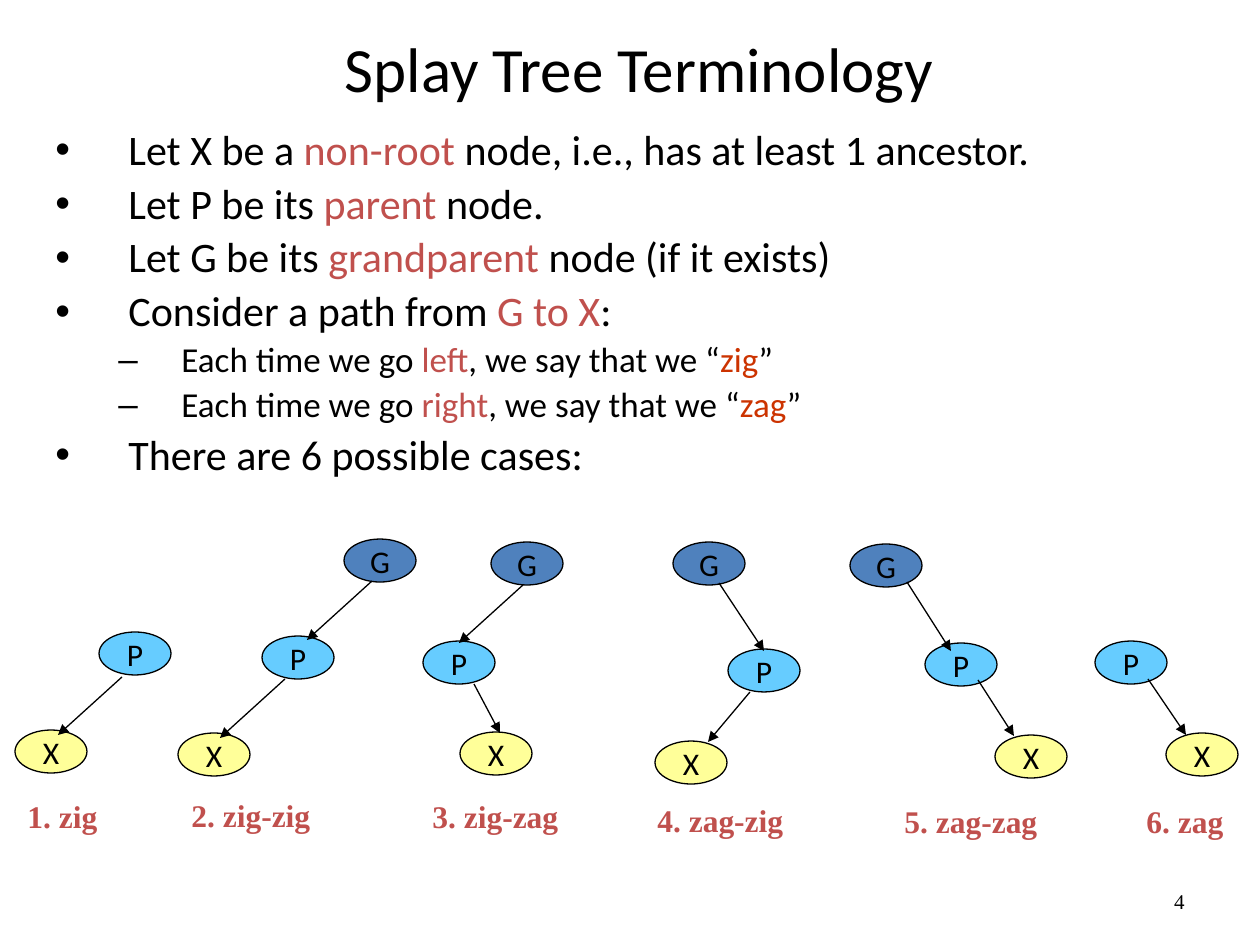
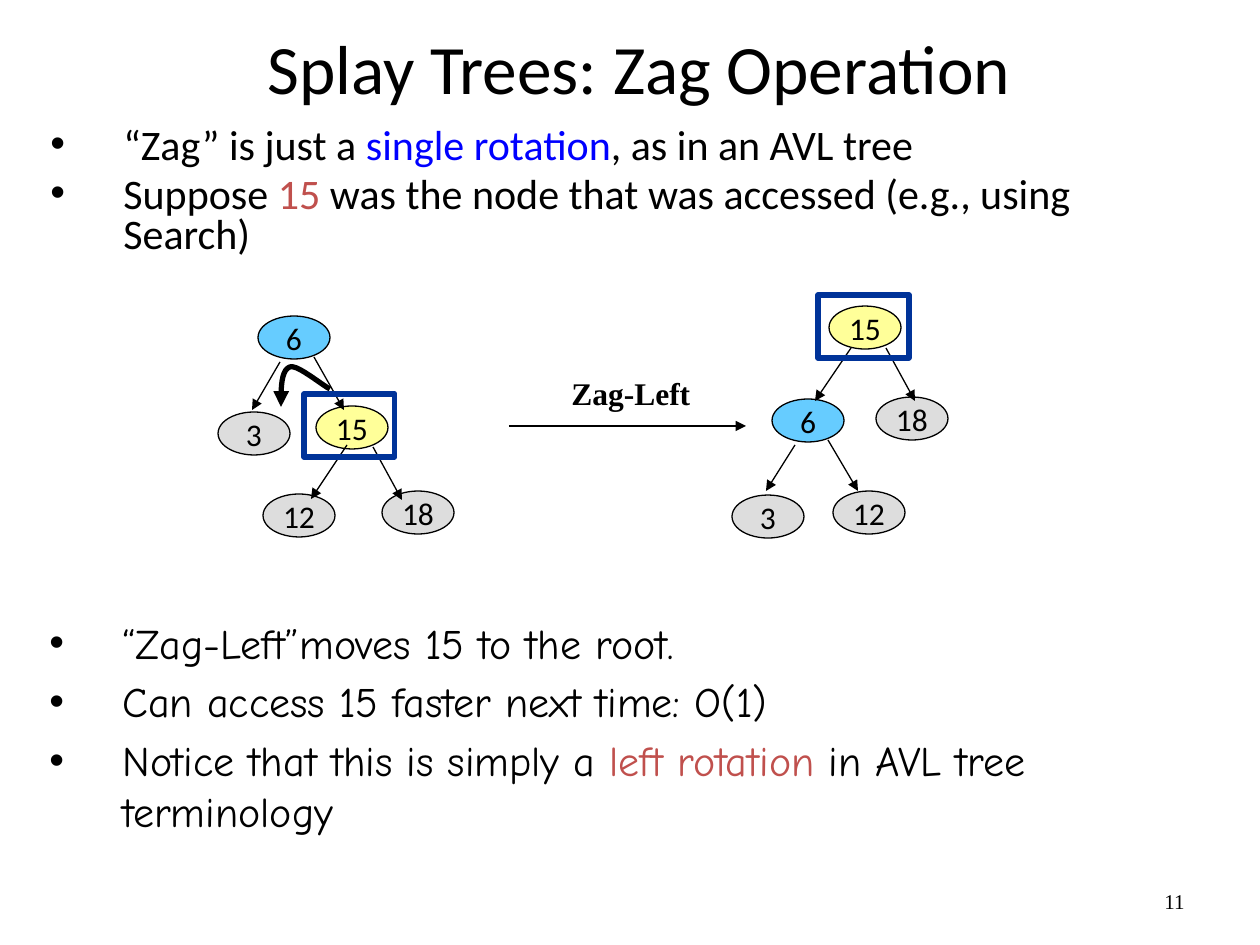
import pptx
import pptx.util
import pptx.dml.color
import pptx.enum.text
import pptx.enum.shapes
import pptx.oxml
import pptx.oxml.ns
from dataclasses import dataclass

PX = 914400 / 126
ALIGN = pptx.enum.text.PP_ALIGN
ANCHOR = pptx.enum.text.MSO_ANCHOR
SHAPE = pptx.enum.shapes.MSO_SHAPE


@dataclass(frozen=True)
class Theme:
    ink: str = "000000"
    accent: str = "C0504D"
    turn: str = "CC3300"
    link: str = "0000FF"
    grandparent: str = "4F81BD"
    parent: str = "66CCFF"
    accessed: str = "FFFF99"
    plain: str = "DDDDDD"
    frame: str = "003399"
    sans: str = "Calibri"
    serif: str = "Times New Roman"
    hand: str = "Comic Neue"
    body: int = 24
    sub: int = 20
    node: int = 18
    label: int = 18
    number: int = 12
    thin: float = 0.75
    thick: float = 3


T = Theme()
TITLE_BOX = (38, 19, 1202, 96)
NUMBER_BOX = (903, 876, 294, 50)
NODE_SIZE = (72, 43)
FRAME_SIZE = (91, 63)
LABEL_HEIGHT = 50
LEVELS = [("•", 73, 73, T.body), ("–", 126, 63, T.sub)]
NODE_FILLS = {"G": T.grandparent, "P": T.parent, "X": T.accessed, "6": T.parent, "15": T.accessed}

SLIDES = [
    {
        "title": ("Splay Tree Terminology", 36),
        "number": "4",
        "bullets": [
            {"box": (43, 123, 1181, 394), "font": T.sans, "spacing": 0.9, "items": [
                (0, ["Let X be a ", ("non-root", T.accent), " node, i.e., has at least 1 ancestor."]),
                (0, ["Let P be its ", ("parent ", T.accent), "node."]),
                (0, ["Let G be its ", ("grandparent ", T.accent), "node (if it exists)"]),
                (0, ["Consider a path from ", ("G to X", T.accent), ":"]),
                (1, ["Each time we go ", ("left", T.accent), ", we say that we “", ("zig", T.turn), "”"]),
                (1, ["Each time we go ", ("right", T.accent), ", we say that we “", ("zag", T.turn), "”"]),
                (0, ["There are 6 possible cases:"]),
            ]},
        ],
        "trees": [
            {"nodes": [("P", 99, 632), ("X", 15, 730)],
             "edges": [(122, 677, 58, 735)]},
            {"nodes": [("G", 344, 539), ("P", 262, 636), ("X", 178, 733)],
             "edges": [(372, 581, 307, 640), (285, 679, 220, 738)]},
            {"nodes": [("G", 491, 542), ("P", 423, 641), ("X", 460, 732)],
             "edges": [(523, 585, 459, 643), (474, 684, 500, 733)]},
            {"nodes": [("G", 673, 542), ("P", 728, 649), ("X", 655, 741)],
             "edges": [(719, 583, 764, 651), (750, 692, 708, 742)]},
            {"nodes": [("G", 850, 544), ("P", 925, 643), ("X", 995, 735)],
             "edges": [(907, 582, 951, 651), (978, 680, 1014, 736)]},
            {"nodes": [("P", 1095, 641), ("X", 1166, 733)],
             "edges": [(1148, 679, 1186, 735)]},
        ],
        "labels": [
            ("1. zig", 15, 791, 96, T.accent),
            ("2. zig-zig", 179, 790, 145, T.accent),
            ("3. zig-zag", 420, 791, 151, T.accent),
            ("4. zag-zig", 645, 795, 151, T.accent),
            ("5. zag-zag", 892, 796, 159, T.accent),
            ("6. zag", 1134, 796, 102, T.accent),
        ],
    },
    {
        "title": ("Splay Trees: Zag Operation", 39.6),
        "number": "11",
        "bullets": [
            {"box": (38, 122, 1181, 150), "font": T.sans, "spacing": 0.8, "items": [
                (0, ["“Zag” is just a ", ("single rotation", T.link), ", as in an AVL tree"]),
                (0, ["Suppose ", ("15", T.accent), " was the node that was accessed (e.g., using Search)"]),
            ]},
            {"box": (37, 611, 1191, 215), "font": T.hand, "spacing": 1.0, "items": [
                (0, ["“Zag-Left”moves 15 to the root."]),
                (0, ["Can access 15 faster next time: O(1)"]),
                (0, ["Notice that this is simply a ", ("left rotation", T.accent), " in AVL tree terminology"]),
            ]},
        ],
        "trees": [
            {"nodes": [("6", 258, 316), ("3", 218, 412), ("15", 316, 406), ("12", 263, 494), ("18", 382, 491)],
             "edges": [(280, 362, 252, 410), (314, 357, 344, 410), (347, 445, 311, 499), (373, 447, 402, 500)]},
            {"nodes": [("15", 829, 306), ("6", 772, 399), ("18", 876, 397), ("3", 732, 495), ("12", 833, 491)],
             "edges": [(851, 348, 815, 401), (886, 348, 915, 401), (795, 445, 766, 491), (828, 440, 858, 491)]},
        ],
        "labels": [("Zag-Left", 559, 368, 145, T.ink)],
        "steps": [(509, 426, 746, 426)],
        "frames": [(304, 394), (818, 295)],
        "turns": [[(281, 407), (281, 388), (281, 370), (290, 367), (297, 364), (323, 386), (330, 389)]],
    },
]


def emu(*lengths):
    return [round(length * PX) for length in lengths]


def rgb(colour):
    return pptx.dml.color.RGBColor.from_string(colour)


def style(r, font, size, colour=T.ink, bold=False):
    r.font.name = font
    r.font.size = pptx.util.Pt(size)
    r.font.color.rgb = rgb(colour)
    r.font.bold = bold


def draw_line(sp, colour, width):
    sp.line.color.rgb = rgb(colour)
    sp.line.width = pptx.util.Pt(width)


def add_arrowhead(sp, end):
    head = pptx.oxml.parse_xml(f'<a:{end} {pptx.oxml.ns.nsdecls("a")} type="triangle"/>')
    sp.line._get_or_add_ln().append(head)


def add_text(s, box, text, font, size, colour=T.ink, align=ALIGN.LEFT, anchor=ANCHOR.TOP, wrap=True, bold=False):
    tf = s.shapes.add_textbox(*emu(*box)).text_frame
    tf.word_wrap = wrap
    tf.vertical_anchor = anchor
    tf.text = text
    p = tf.paragraphs[0]
    p.alignment = align
    style(p.runs[0], font, size, colour, bold)
    return tf


def add_bullets(s, block):
    tf = s.shapes.add_textbox(*emu(*block["box"])).text_frame
    tf.word_wrap = True
    for i, (level, parts) in enumerate(block["items"]):
        mark, margin, hang, size = LEVELS[level]
        p = tf.add_paragraph() if i else tf.paragraphs[0]
        p.level = level
        p.line_spacing = block["spacing"]
        p.space_before = pptx.util.Pt(size * 0.2)
        pPr = p._p.get_or_add_pPr()
        pPr.set("marL", str(emu(margin)[0]))
        pPr.set("indent", str(emu(-hang)[0]))
        for tag in (f'buFont {pptx.oxml.ns.nsdecls("a")} typeface="Arial"',
                    f'buChar {pptx.oxml.ns.nsdecls("a")} char="{mark}"'):
            pPr.append(pptx.oxml.parse_xml(f"<a:{tag}/>"))
        for part in parts:
            text, colour = part if isinstance(part, tuple) else (part, T.ink)
            r = p.add_run()
            r.text = text
            style(r, block["font"], size, colour)


def add_node(s, name, x, y):
    sp = s.shapes.add_shape(SHAPE.OVAL, *emu(x, y, *NODE_SIZE))
    sp.shadow.inherit = False
    sp.fill.solid()
    sp.fill.fore_color.rgb = rgb(NODE_FILLS.get(name, T.plain))
    draw_line(sp, T.ink, T.thin)
    tf = sp.text_frame
    tf.word_wrap = False
    tf.vertical_anchor = ANCHOR.MIDDLE
    tf.text = name
    tf.paragraphs[0].alignment = ALIGN.CENTER
    style(tf.paragraphs[0].runs[0], T.sans, T.node)


def add_arrow(s, ends):
    sp = s.shapes.add_connector(pptx.enum.shapes.MSO_CONNECTOR.STRAIGHT, *emu(*ends))
    draw_line(sp, T.ink, T.thin)
    add_arrowhead(sp, "tailEnd")
    sp._element.spPr.append(pptx.oxml.parse_xml(f'<a:effectLst {pptx.oxml.ns.nsdecls("a")}/>'))


def add_frame(s, x, y):
    sp = s.shapes.add_shape(SHAPE.RECTANGLE, *emu(x, y, *FRAME_SIZE))
    sp.shadow.inherit = False
    sp.fill.background()
    draw_line(sp, T.frame, T.thick)


def bezier(points, t):
    weights = ((1 - t) ** 3, 3 * t * (1 - t) ** 2, 3 * t * t * (1 - t), t ** 3)
    return tuple(sum(w * q[axis] for w, q in zip(weights, points)) for axis in (0, 1))


def add_turn(s, points, steps=10):
    curve = [bezier(points[i:i + 4], k / steps)
             for i in range(0, len(points) - 1, 3) for k in range(1, steps + 1)]
    builder = s.shapes.build_freeform(*emu(*points[0]), scale=1.0)
    builder.add_line_segments([emu(*q) for q in curve], close=False)
    sp = builder.convert_to_shape()
    sp.shadow.inherit = False
    sp.fill.background()
    draw_line(sp, T.ink, T.thick)
    add_arrowhead(sp, "headEnd")


def build_slide(prs, content):
    s = prs.slides.add_slide(prs.slide_layouts[6])
    add_text(s, NUMBER_BOX, content["number"], T.serif, T.number, align=ALIGN.RIGHT, anchor=ANCHOR.MIDDLE)
    title, size = content["title"]
    add_text(s, TITLE_BOX, title, T.sans, size, align=ALIGN.CENTER, anchor=ANCHOR.MIDDLE)
    for block in content["bullets"]:
        add_bullets(s, block)
    for tree in content["trees"]:
        for node in tree["nodes"]:
            add_node(s, *node)
        for edge in tree["edges"]:
            add_arrow(s, edge)
    for text, x, y, width, colour in content["labels"]:
        tf = add_text(s, (x, y, width, LABEL_HEIGHT), text, T.serif, T.label, colour, wrap=False, bold=True)
        tf.auto_size = pptx.enum.text.MSO_AUTO_SIZE.SHAPE_TO_FIT_TEXT
    for step in content.get("steps", []):
        add_arrow(s, step)
    for corner in content.get("frames", []):
        add_frame(s, *corner)
    for turn in content.get("turns", []):
        add_turn(s, turn)


def main():
    prs = pptx.Presentation()
    prs.slide_width, prs.slide_height = emu(1260, 945)
    for content in SLIDES:
        build_slide(prs, content)
    prs.save("out.pptx")


if __name__ == "__main__":
    main()
